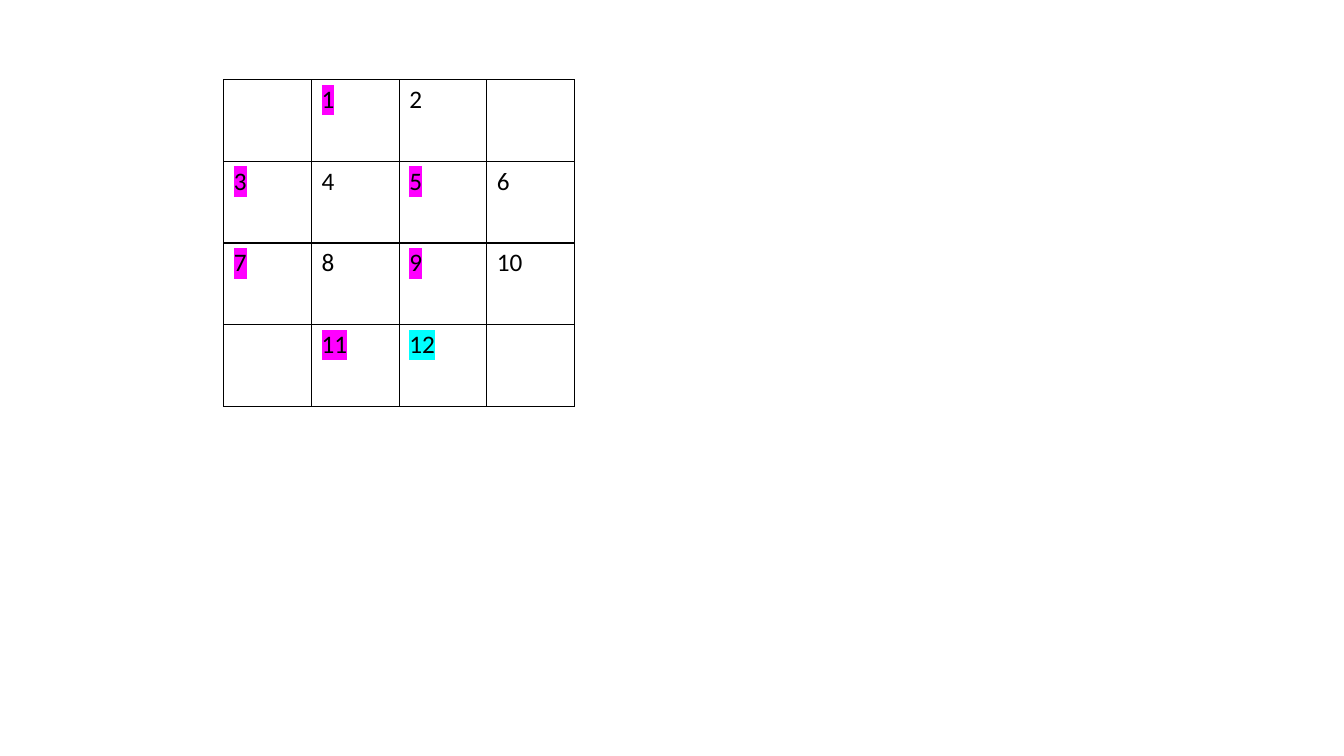
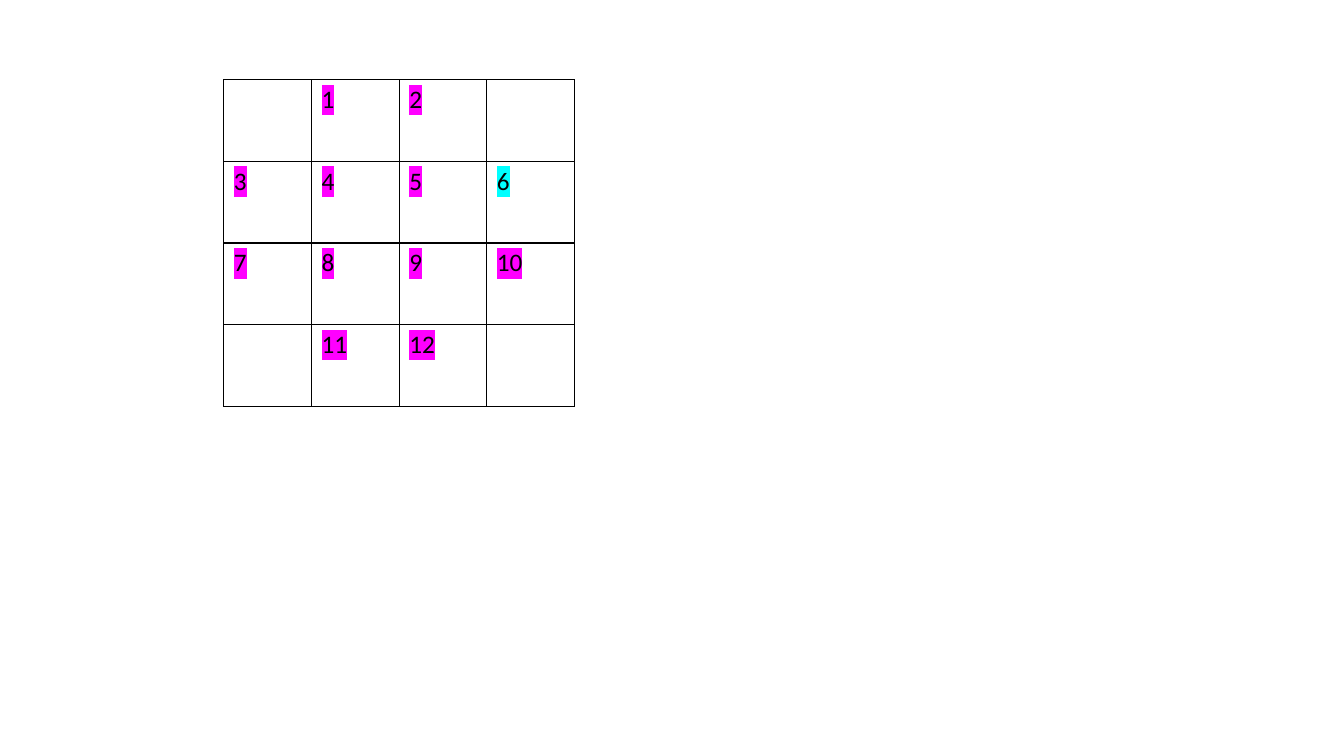
import lxml.etree
import pptx
import pptx.dml.color
import pptx.oxml.ns
import pptx.util
from dataclasses import dataclass
from pptx.util import Inches

NUMBER_GRID = [
    ["", "1", "2", ""],
    ["3", "4", "5", "6"],
    ["7", "8", "9", "10"],
    ["", "11", "12", ""],
]

STEPS = [
    {"visited": {"1", "3", "5", "7", "9", "11"}, "current": "12"},
    {"visited": {"1", "2", "3", "4", "5", "7", "8", "9", "10", "11", "12"}, "current": "6"},
]


@dataclass(frozen=True)
class Theme:
    font: str = "Calibri"
    number_size: int = 18
    ink: str = "000000"
    visited: str = "FF00FF"
    current: str = "00FFFF"
    border_width: int = 1


THEME = Theme()
GRID_LEFT, GRID_TOP = Inches(2.22), Inches(0.79)
COLUMN_WIDTH, ROW_HEIGHT = Inches(0.87), Inches(0.81)


def add_element(parent, tag, **attributes):
    return lxml.etree.SubElement(parent, pptx.oxml.ns.qn(tag), **attributes)


def add_color(parent, color):
    add_element(parent, "a:srgbClr", val=color)


def draw_borders(cell):
    properties = cell._tc.get_or_add_tcPr()
    for side in ("a:lnL", "a:lnR", "a:lnT", "a:lnB"):
        border = add_element(properties, side, w=str(pptx.util.Pt(THEME.border_width)))
        add_color(add_element(border, "a:solidFill"), THEME.ink)


def write_number(cell, number, highlight):
    paragraph = cell.text_frame.paragraphs[0]
    paragraph.font.name = THEME.font
    paragraph.font.size = pptx.util.Pt(THEME.number_size)
    paragraph.font.color.rgb = pptx.dml.color.RGBColor.from_string(THEME.ink)
    run = paragraph.add_run()
    run.text = number
    if highlight:
        add_color(add_element(run._r.get_or_add_rPr(), "a:highlight"), highlight)


def highlight_for(number, step):
    if number == step["current"]:
        return THEME.current
    return THEME.visited if number in step["visited"] else None


def add_grid(slide, step):
    rows, columns = len(NUMBER_GRID), len(NUMBER_GRID[0])
    grid = slide.shapes.add_table(
        rows, columns, GRID_LEFT, GRID_TOP, COLUMN_WIDTH * columns, ROW_HEIGHT * rows
    ).table
    grid.first_row = False
    grid.horz_banding = False
    for column in grid.columns:
        column.width = COLUMN_WIDTH
    for row, numbers in zip(grid.rows, NUMBER_GRID):
        row.height = ROW_HEIGHT
        for cell, number in zip(row.cells, numbers):
            draw_borders(cell)
            cell.fill.background()
            if number:
                write_number(cell, number, highlight_for(number, step))


def main():
    deck = pptx.Presentation()
    deck.slide_width, deck.slide_height = Inches(13.33), Inches(7.5)
    blank_layout = deck.slide_layouts[6]
    for step in STEPS:
        add_grid(deck.slides.add_slide(blank_layout), step)
    deck.save("out.pptx")


if __name__ == "__main__":
    main()
